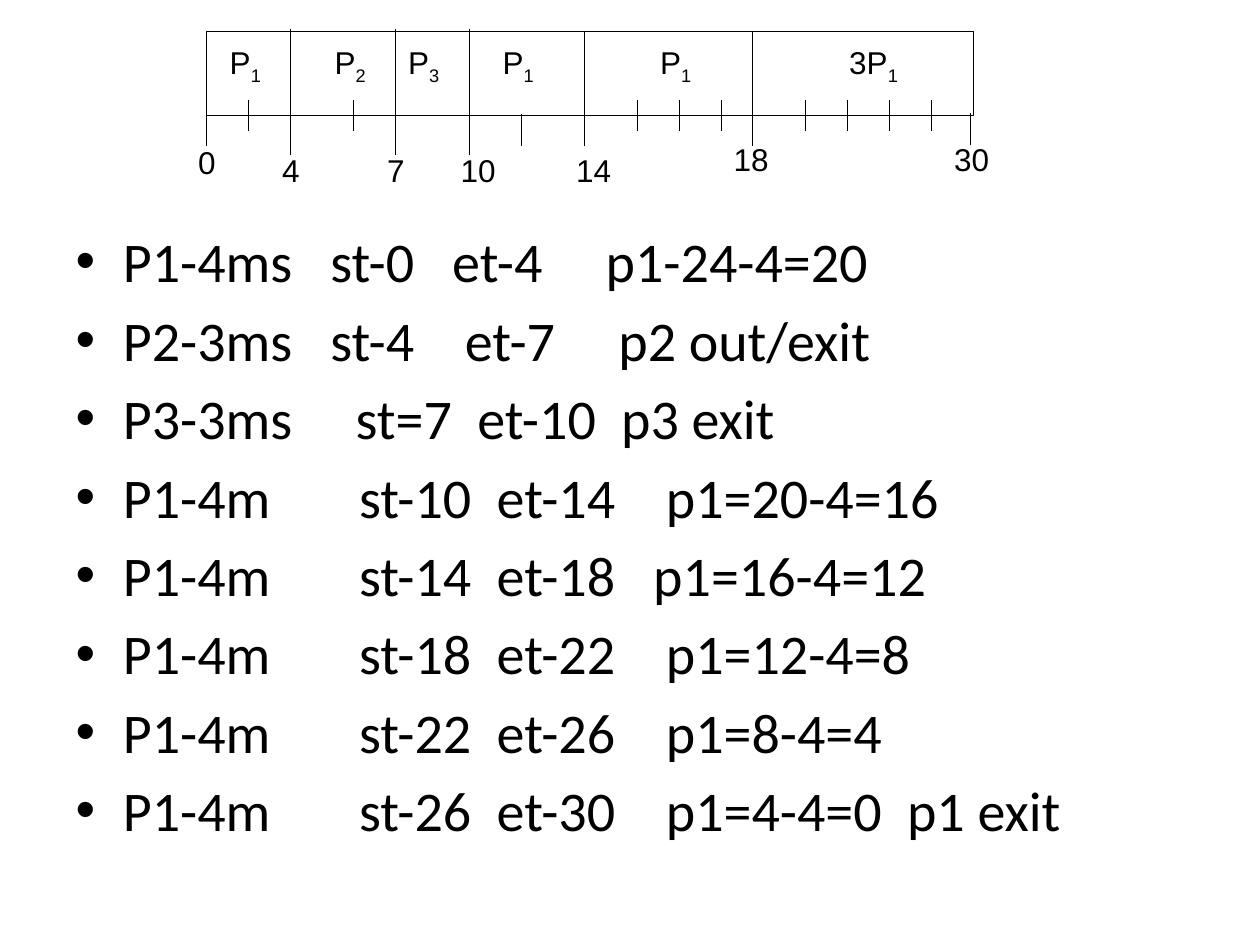
from lxml.etree import SubElement
from pptx import Presentation
from pptx.dml.color import RGBColor
from pptx.enum.shapes import MSO_CONNECTOR as Connector, MSO_SHAPE as Preset
from pptx.enum.text import MSO_ANCHOR as Anchor
from pptx.oxml.ns import qn
from pptx.util import Inches, Pt

COLUMNS, ROWS = 120, 90   # grid of the whole slide
AXIS = 19.7               # column where the time axis starts


def colour(code):
    return RGBColor.from_string(code)


class Slide:
    ink, paper = "000000", "FFFFFF"
    body_font, chart_font = "Calibri", "Arial"
    body_size, chart_size = Pt(32), Pt(18)
    line_width = Pt(0.75)

    def __init__(self, deck):
        self.deck = deck
        self.page = deck.slides.add_slide(deck.slide_layouts[1])
        title = self.page.shapes.title
        title.element.getparent().remove(title.element)

    def x(self, column):
        return round(self.deck.slide_width * column / COLUMNS)

    def y(self, row):
        return round(self.deck.slide_height * row / ROWS)

    def area(self, column, row, width, height):
        return self.x(column), self.y(row), self.x(width), self.y(height)

    def add_span(self, para, text, font, size, subscript=False):
        span = para.add_run()
        span.text = text
        span.font.name, span.font.size = font, size
        span.font.color.rgb = colour(self.ink)
        if subscript:
            span.font._element.set("baseline", "-25000")

    def bullets(self, lines, column, row, width, height):
        body = self.page.placeholders[1]
        body.left, body.top, body.width, body.height = self.area(column, row, width, height)
        frame = body.text_frame
        for index, line in enumerate(lines):
            para = frame.add_paragraph() if index else frame.paragraphs[0]
            self.add_span(para, line, self.body_font, self.body_size)

    def frame(self, column, row, width, height):
        box = self.page.shapes.add_shape(Preset.RECTANGLE, *self.area(column, row, width, height))
        box.shadow.inherit = False
        box.fill.solid()
        box.fill.fore_color.rgb = colour(self.paper)
        box.line.color.rgb = colour(self.ink)
        box.line.width = self.line_width

    def upright(self, column, top, bottom):
        line = self.page.shapes.add_connector(
            Connector.STRAIGHT, self.x(column), self.y(top), self.x(column), self.y(bottom))
        line.line.color.rgb = colour(self.ink)
        line.line.width = self.line_width
        SubElement(line._element.spPr, qn("a:effectLst"))

    def label(self, column, row, width, text, subscript=""):
        box = self.page.shapes.add_textbox(*self.area(column, row, width, 4.8))
        frame = box.text_frame
        frame.word_wrap = False
        frame.vertical_anchor = Anchor.MIDDLE
        para = frame.paragraphs[0]
        self.add_span(para, text, self.chart_font, self.chart_size)
        if subscript:
            self.add_span(para, subscript, self.chart_font, self.chart_size, True)


STEPS = [
    "P1-4ms   st-0   et-4     p1-24-4=20",
    "P2-3ms   st-4    et-7     p2 out/exit",
    "P3-3ms     st=7  et-10  p3 exit",
    "P1-4m       st-10  et-14    p1=20-4=16",
    "P1-4m       st-14  et-18   p1=16-4=12",
    "P1-4m       st-18  et-22    p1=12-4=8",
    "P1-4m       st-22  et-26    p1=8-4=4",
    "P1-4m       st-26  et-30    p1=4-4=0  p1 exit",
]
# Columns from the start of the axis
PROCESSES = [(1, "P", "1"), (11, "P", "2"), (18, "P", "3"),
             (27, "P", "1"), (42, "P", "1"), (60, "3P", "1")]
# Line column, top and bottom rows; time, its column and row
BOUNDARIES = [
    (0, 10.9, 13.9, "0", -2, 13),
    (8, 2.75, 14.75, "4", 6, 13.8),
    (18, 2.75, 14.75, "7", 16, 13.8),
    (25, 2.75, 14.75, "10", 23, 13.8),
    (36, 3, 13.9, "14", 34, 13.8),
    (52, 3, 13.9, "18", 49, 12.75),
    (72.7, 10.8, 13.8, "30", 70, 12.75),
]
TICKS = [4, 14, *range(41, 50, 4), *range(57, 70, 4)]


def main():
    deck = Presentation()
    deck.slide_width, deck.slide_height = Inches(10), Inches(7.5)
    slide = Slide(deck)

    # Steps of the schedule
    slide.bullets(STEPS, 6, 21, 108, 59.4)

    # Gantt chart: bar, boundaries with times, ticks, processes
    slide.frame(AXIS, 3, 73, 8)
    for column, top, bottom, time, place, row in BOUNDARIES:
        slide.upright(AXIS + column, top, bottom)
        slide.label(AXIS + place, row, 2.4 + 1.7 * len(time), time)
    for column in TICKS:
        slide.upright(AXIS + column, 9.5, 12.5)
    slide.upright(AXIS + 30, 10.9, 13.9)
    for column, name, number in PROCESSES:
        slide.label(AXIS + column, 3.75, 3.8 + 1.7 * len(name), name, number)

    deck.save("out.pptx")


if __name__ == "__main__":
    main()
